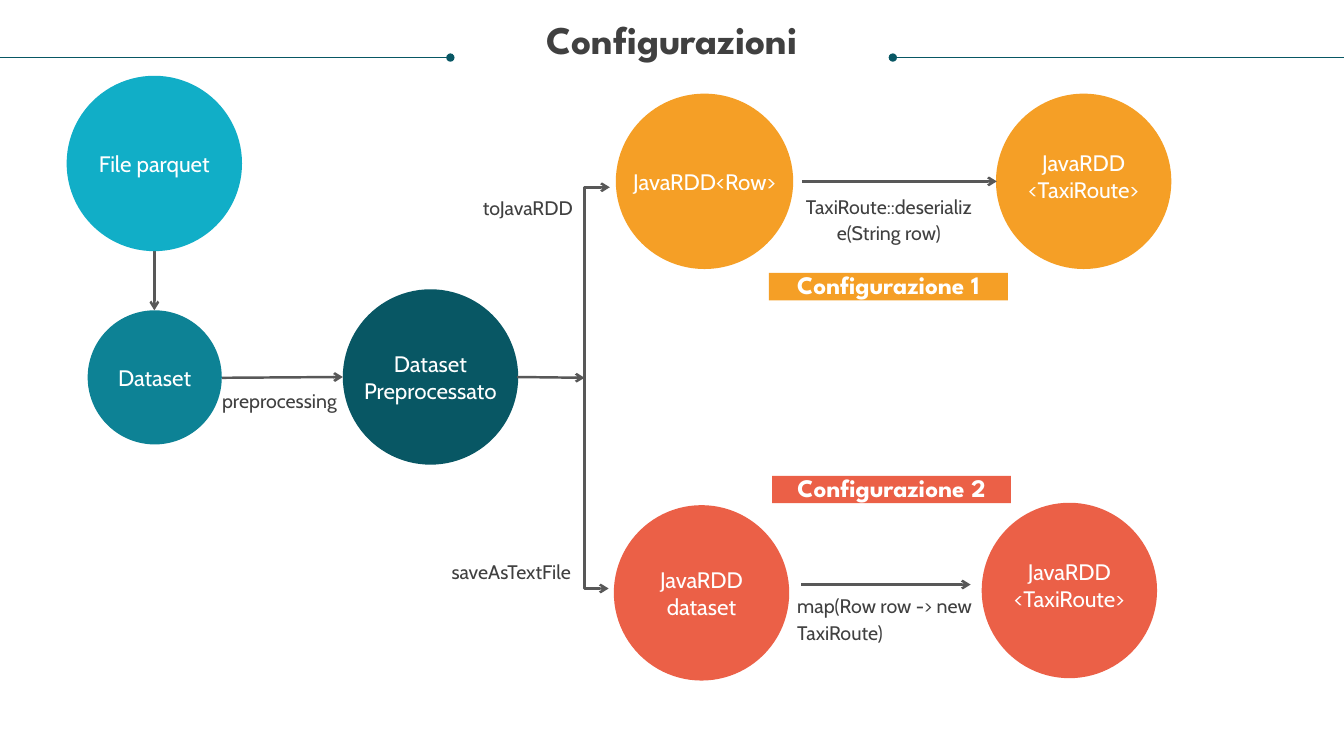
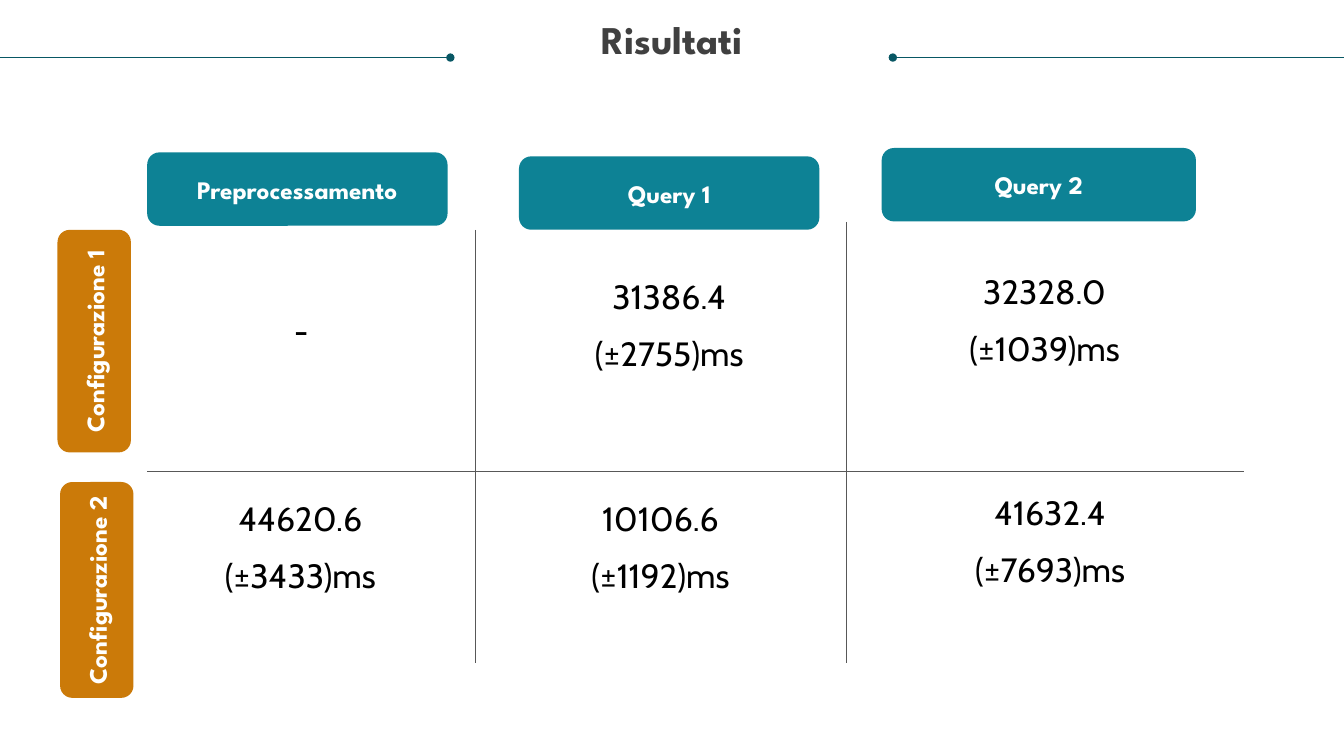
from pptx import Presentation
from pptx import util as u
from pptx.dml.color import RGBColor
from pptx.enum import shapes, text
from pptx.oxml.ns import qn
from lxml import etree

CYAN = RGBColor(0x11, 0xAE, 0xC7)
TEAL = RGBColor(0x0D, 0x82, 0x95)
DARK_TEAL = RGBColor(0x08, 0x57, 0x64)
ORANGE = RGBColor(0xF5, 0x9F, 0x26)
OCHRE = RGBColor(0xCB, 0x7A, 0x09)
RED = RGBColor(0xEB, 0x60, 0x47)
GREY = RGBColor(0x58, 0x58, 0x58)
INK = RGBColor(0x40, 0x40, 0x40)
BLACK = RGBColor(0, 0, 0)
WHITE = RGBColor(0xFF, 0xFF, 0xFF)

HEADING, BODY = "League Spartan", "Cabin"
SLIDE_W, SLIDE_H = 33.87, 19.05
CIRCLE = 4.42

SHAPE = shapes.MSO_SHAPE
ALIGN = text.PP_ALIGN
ANCHOR = text.MSO_ANCHOR


def box(x, y, w, h):
    return [u.Cm(v) for v in (x, y, w, h)]


# Text
def write(sp, lines, size, color, font=BODY, bold=False, align=ALIGN.CENTER,
          anchor=ANCHOR.MIDDLE, spacing=None, before=0, wrap=True, grow=False):
    tf = sp.text_frame
    tf.margin_left = tf.margin_right = tf.margin_top = tf.margin_bottom = 0
    tf.word_wrap = wrap
    tf.vertical_anchor = anchor
    if grow:
        tf.auto_size = text.MSO_AUTO_SIZE.SHAPE_TO_FIT_TEXT
    tf.text = lines
    for p in tf.paragraphs:
        p.alignment = align
        p.line_spacing = spacing
        p.space_before = u.Pt(before)
        p.font.size = u.Pt(size)
        p.font.name = font
        p.font.bold = bold
        p.font.color.rgb = color
    return tf


def label(s, lines, x, y, w=3.73, h=0.61, align=ALIGN.CENTER):
    write(s.shapes.add_textbox(*box(x, y, w, h)), lines, 14, INK,
          align=align, spacing=u.Pt(19), grow=True)


def result(s, lines, x, y, w, h=2.49):
    write(s.shapes.add_textbox(*box(x, y, w, h)), lines, 24, BLACK,
          anchor=ANCHOR.TOP, before=12, grow=True)


# Filled shapes
def filled(s, kind, color, x, y, w, h):
    sp = s.shapes.add_shape(kind, *box(x, y, w, h))
    sp.shadow.inherit = False
    sp.fill.solid()
    sp.fill.fore_color.rgb = color
    sp.line.fill.background()
    return sp


def circle(s, lines, color, x, y, w=CIRCLE, h=CIRCLE, wrap=False, lift=0):
    sp = filled(s, SHAPE.OVAL, color, x, y, w, h)
    tf = write(sp, lines, 16, WHITE, wrap=wrap)
    tf.margin_bottom = u.Cm(2 * lift)


def banner(s, line, color, x, y):
    sp = filled(s, SHAPE.RECTANGLE, color, x, y, 6.02, 0.69)
    write(sp, line, 18, WHITE, HEADING, True, anchor=ANCHOR.TOP,
          spacing=0.9, grow=True)


def tab(s, line, color, x, y, w, rotation=0):
    sp = filled(s, SHAPE.ROUNDED_RECTANGLE, color, x, y, w, 1.85)
    sp.rotation = rotation
    write(sp, line, 18, WHITE, HEADING, True)


# Lines
def connect(s, x1, y1, x2, y2, color=GREY, width=0.5, head=None, tail=None,
            kind=shapes.MSO_CONNECTOR.STRAIGHT):
    c = s.shapes.add_connector(kind, *box(x1, y1, x2, y2))
    c.line.color.rgb = color
    c.line.width = u.Pt(width)
    ln = c.get_or_add_ln()
    for tag, end in (("a:headEnd", head), ("a:tailEnd", tail)):
        if end:
            etree.SubElement(ln, qn(tag), type=end)
    etree.SubElement(c._element.spPr, qn("a:effectLst"))
    return c


def arrow(s, x1, y1, x2, y2):
    connect(s, x1, y1, x2, y2, width=1.75, tail="arrow")


def fork(s, x1, y1, x2, y2, spine_x):
    c = connect(s, x1, y1, x2, y2, width=1.75, head="arrow", tail="arrow",
                kind=shapes.MSO_CONNECTOR.ELBOW)
    bend = round((spine_x - x1) / (x2 - x1) * 100000)
    av = c._element.spPr.find(".//" + qn("a:avLst"))
    etree.SubElement(av, qn("a:gd"), name="adj1", fmla=f"val {bend}")


# Title with a dotted rule on both sides
def titled_slide(prs, title):
    s = prs.slides.add_slide(prs.slide_layouts[6])
    connect(s, 22.5, 1.45, SLIDE_W, 1.45, DARK_TEAL, head="oval")
    connect(s, 0, 1.45, 11.35, 1.45, DARK_TEAL, tail="oval")
    write(s.shapes.add_textbox(*box(0.64, 0.53, 32.59, 1.07)), title, 28, INK,
          HEADING, True, anchor=ANCHOR.TOP, spacing=0.9, grow=True)
    return s


def configurations(prs):
    s = titled_slide(prs, "Configurazioni")

    # Shared preparation
    circle(s, "Dataset\nPreprocessato", DARK_TEAL, 8.64, 7.29)
    arrow(s, 3.89, 6.32, 3.89, 7.82)
    arrow(s, 5.59, 9.52, 8.64, 9.5)
    arrow(s, 13.03, 9.5, 14.73, 9.52)
    fork(s, 15.37, 4.72, 15.34, 14.83, 14.73)
    circle(s, "File parquet", CYAN, 1.68, 1.91)
    circle(s, "Dataset", TEAL, 2.21, 7.82, 3.38, 3.38)
    label(s, "preprocessing", 5.18, 9.75)

    # Configuration 2
    arrow(s, 20.19, 14.73, 24.46, 14.73)
    label(s, "saveAsTextFile", 11.38, 14.07, align=ALIGN.LEFT)
    circle(s, "JavaRDD dataset", RED, 15.47, 12.73, wrap=True)
    label(s, "map(Row row -> new TaxiRoute)", 20.09, 14.91, 5.74, 1.3, ALIGN.LEFT)
    circle(s, "JavaRDD\n<TaxiRoute>", RED, 24.74, 12.67, lift=0.13)
    banner(s, "Configurazione 2", RED, 19.46, 11.99)

    # Configuration 1
    circle(s, "JavaRDD\n<TaxiRoute>", ORANGE, 25.1, 2.36, lift=0.13)
    circle(s, "JavaRDD<Row>", ORANGE, 15.52, 2.36, 4.47)
    label(s, "TaxiRoute::deserialize(String row)", 20.19, 4.85, 4.42, 1.3)
    label(s, "toJavaRDD", 12.17, 4.88, align=ALIGN.LEFT)
    arrow(s, 20.22, 4.57, 25.12, 4.57)
    banner(s, "Configurazione 1", ORANGE, 19.38, 6.88)


def results(prs):
    s = titled_slide(prs, "Risultati")

    # Column and row heads
    for line, x, y, w in (("Preprocessamento", 3.71, 3.84, 7.57),
                          ("Query 1", 13.08, 3.94, 7.57),
                          ("Query 2", 22.22, 3.73, 7.92)):
        tab(s, line, TEAL, x, y, w)
    for line, x, y, w in (("Configurazione 1", -0.43, 7.67, 5.61),
                          ("Configurazione 2", -0.28, 13.94, 5.44)):
        tab(s, line, OCHRE, x, y, w, 270)

    # Dividers
    connect(s, 3.71, 11.89, 31.34, 11.89)
    for x, top in ((11.99, 5.79), (21.34, 5.59)):
        connect(s, x, top, x, 16.71)

    # Mean times and deviations
    result(s, "-", 3.81, 7.82, 7.57, 1.02)
    for mean, deviation, x, y, w in (("31386.4", 2755, 13.08, 6.96, 7.57),
                                     ("32328.0", 1039, 22.5, 6.83, 7.65),
                                     ("44620.6", 3433, 3.86, 12.55, 7.42),
                                     ("10106.6", 1192, 13.18, 12.55, 6.93),
                                     ("41632.4", 7693, 22.25, 12.4, 8.43)):
        result(s, f"{mean}\n(±{deviation})ms", x, y, w)


def main():
    prs = Presentation()
    prs.slide_width, prs.slide_height = u.Cm(SLIDE_W), u.Cm(SLIDE_H)
    configurations(prs)
    results(prs)
    prs.save("out.pptx")


main()
